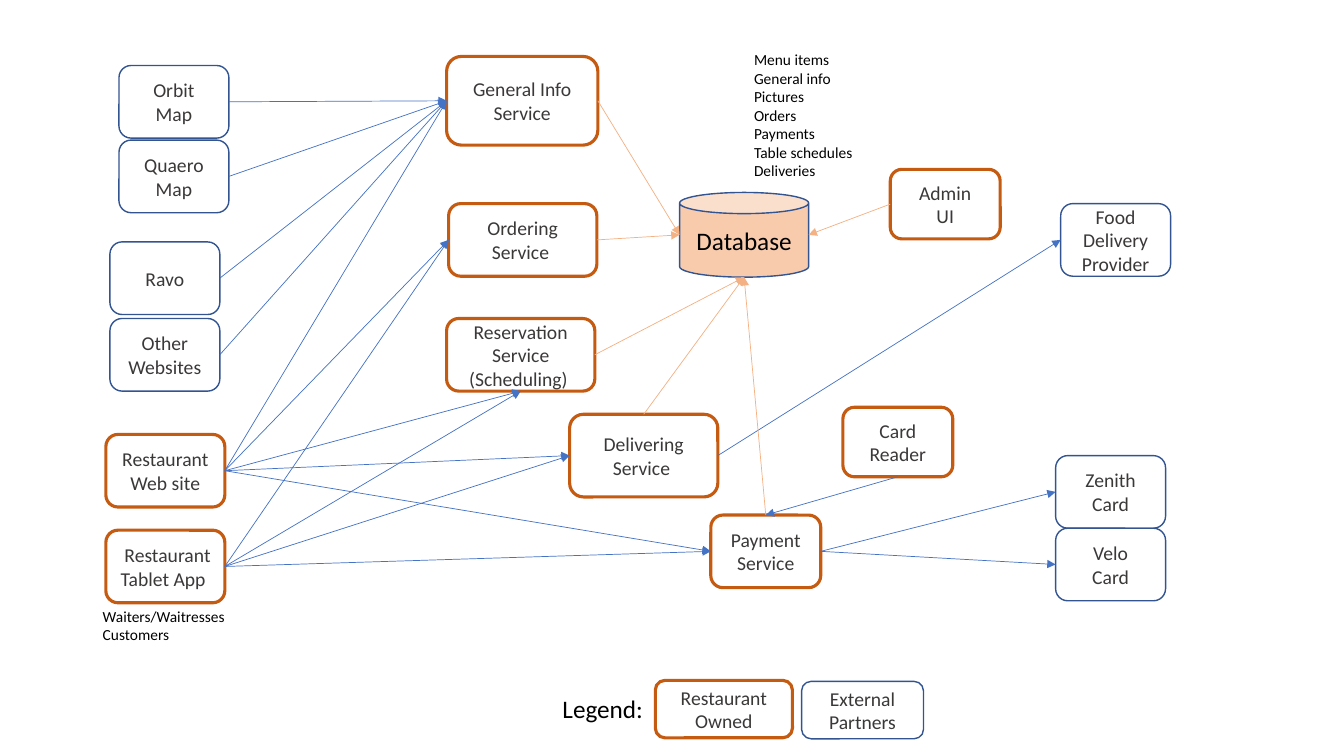
from lxml.etree import SubElement
from pptx import Presentation
from pptx.dml.color import RGBColor
from pptx.enum.shapes import MSO_CONNECTOR, MSO_SHAPE
from pptx.enum.text import MSO_ANCHOR, PP_ALIGN
from pptx.oxml.ns import qn
from pptx.util import Inches, Pt

BLUE, ORANGE, PEACH = "4472C4", "C55A11", "F4B183"
NAVY, DARK, BLACK = "325491", "3B3838", "000000"
TOP, LEFT, BOTTOM, RIGHT = range(4)


def color(value):
    return RGBColor.from_string(value)


def write(shape, text, size=14, ink=DARK, align=PP_ALIGN.CENTER, anchor=MSO_ANCHOR.MIDDLE):
    frame = shape.text_frame
    frame.word_wrap = True
    frame.vertical_anchor = anchor
    frame.text = text
    for para in frame.paragraphs:
        para.alignment = align
        for span in para.runs:
            span.font.name = "Calibri"
            span.font.size = Pt(size)
            span.font.color.rgb = color(ink)


deck = Presentation()
deck.slide_width, deck.slide_height = Inches(13.33), Inches(7.5)
page = deck.slides.add_slide(deck.slide_layouts[6])

partners = [
    ("first map", "Orbit\nMap", 1.18, 0.65, 1.09, 0.72),
    ("second map", "Quaero\nMap", 1.18, 1.39, 1.09, 0.72),
    ("reviews", "Ravo", 1.09, 2.4, 1.09, 0.72),
    ("websites", "Other Websites", 1.09, 3.16, 1.09, 0.72),
    ("food delivery", "Food Delivery Provider", 10.52, 2.02, 1.09, 0.72),
    ("first card", "Zenith\nCard", 10.47, 4.52, 1.09, 0.72),
    ("second card", "Velo\nCard", 10.47, 5.24, 1.09, 0.72),
    ("partner legend", "External\nPartners", 7.95, 6.76, 1.21, 0.57),
]
owned = [
    ("general info", "General Info Service", 4.43, 0.56, 1.5, 0.88),
    ("ordering", "Ordering\nService ", 4.45, 2.02, 1.47, 0.72),
    ("reservation", "Reservation Service (Scheduling) ", 4.43, 3.16, 1.47, 0.72),
    ("delivering", "Delivering Service ", 5.65, 4.11, 1.47, 0.82),
    ("payment", "Payment Service", 7.05, 5.11, 1.09, 0.72),
    ("card reader", "Card Reader", 8.36, 4.04, 1.09, 0.69),
    ("admin", "Admin\nUI", 8.83, 1.68, 1.09, 0.69),
    ("web site", "Restaurant Web site", 1.05, 4.31, 1.18, 0.72),
    ("tablet app", " Restaurant Tablet App ", 1.05, 5.26, 1.18, 0.72),
    ("owned legend", "Restaurant Owned", 6.5, 6.75, 1.36, 0.57),
]
boxes = {}
for group, outline, weight in ((partners, NAVY, 1), (owned, ORANGE, 2.25)):
    for name, text, *place in group:
        box = page.shapes.add_shape(MSO_SHAPE.ROUNDED_RECTANGLE, *map(Inches, place))
        box.shadow.inherit = False
        box.fill.solid()
        box.fill.fore_color.rgb = color("FFFFFF")
        box.line.color.rgb = color(outline)
        box.line.width = Pt(weight)
        write(box, text)
        boxes[name] = box

database = page.shapes.add_shape(MSO_SHAPE.CAN, Inches(6.74), Inches(1.91), Inches(1.28), Inches(0.84))
database.shadow.inherit = False
database.fill.solid()
database.fill.fore_color.rgb = color("F8CBAD")
database.line.color.rgb = color(NAVY)
database.line.width = Pt(1)
write(database, "Database", size=18, ink=BLACK)

notes = [
    ("Waiters/Waitresses\nCustomers", 11, 0.92, 5.97, 1.61, 0.47),
    ("Legend:", 18, 5.48, 6.83, 1.61, 0.4),
    ("Menu items\nGeneral info\nPictures\nOrders\nPayments\nTable schedules\nDeliveries",
     11, 7.38, 0.45, 1.28, 1.4),
]
for text, size, *place in notes:
    label = page.shapes.add_textbox(*map(Inches, place))
    write(label, text, size=size, ink=BLACK, align=PP_ALIGN.LEFT, anchor=MSO_ANCHOR.TOP)

flows = [(name, RIGHT, "general info", LEFT)
         for name in ("first map", "second map", "reviews", "websites", "web site")]
for client in ("web site", "tablet app"):
    flows += [
        (client, RIGHT, "ordering", LEFT),
        (client, RIGHT, "reservation", BOTTOM),
        (client, RIGHT, "delivering", LEFT),
        (client, RIGHT, "payment", LEFT),
    ]
flows += [
    ("delivering", RIGHT, "food delivery", LEFT),
    ("card reader", BOTTOM, "payment", TOP),
    ("payment", RIGHT, "first card", LEFT),
    ("payment", RIGHT, "second card", LEFT),
    ("general info", RIGHT, "database", LEFT),
    ("ordering", RIGHT, "database", LEFT),
    ("reservation", RIGHT, "database", BOTTOM),
    ("delivering", TOP, "database", BOTTOM),
    ("payment", TOP, "database", BOTTOM),
    ("admin", LEFT, "database", RIGHT),
]
middle = database.left + database.width // 2
center = database.top + database.height // 2
database_ends = {
    LEFT: (database.left, center),
    BOTTOM: (middle, database.top + database.height),
    RIGHT: (database.left + database.width, center),
}
for source, source_side, target, target_side in flows:
    arrow = page.shapes.add_connector(MSO_CONNECTOR.STRAIGHT, 0, 0, 0, 0)
    arrow.begin_connect(boxes[source], source_side)
    if target == "database":
        arrow.end_x, arrow.end_y = database_ends[target_side]
        arrow.line.color.rgb = color(PEACH)
    else:
        arrow.end_connect(boxes[target], target_side)
        arrow.line.color.rgb = color(BLUE)
    arrow.line.width = Pt(0.5)
    SubElement(arrow.line._get_or_add_ln(), qn("a:tailEnd"), type="triangle")
    SubElement(arrow._element.spPr, qn("a:effectLst"))

deck.save("out.pptx")
